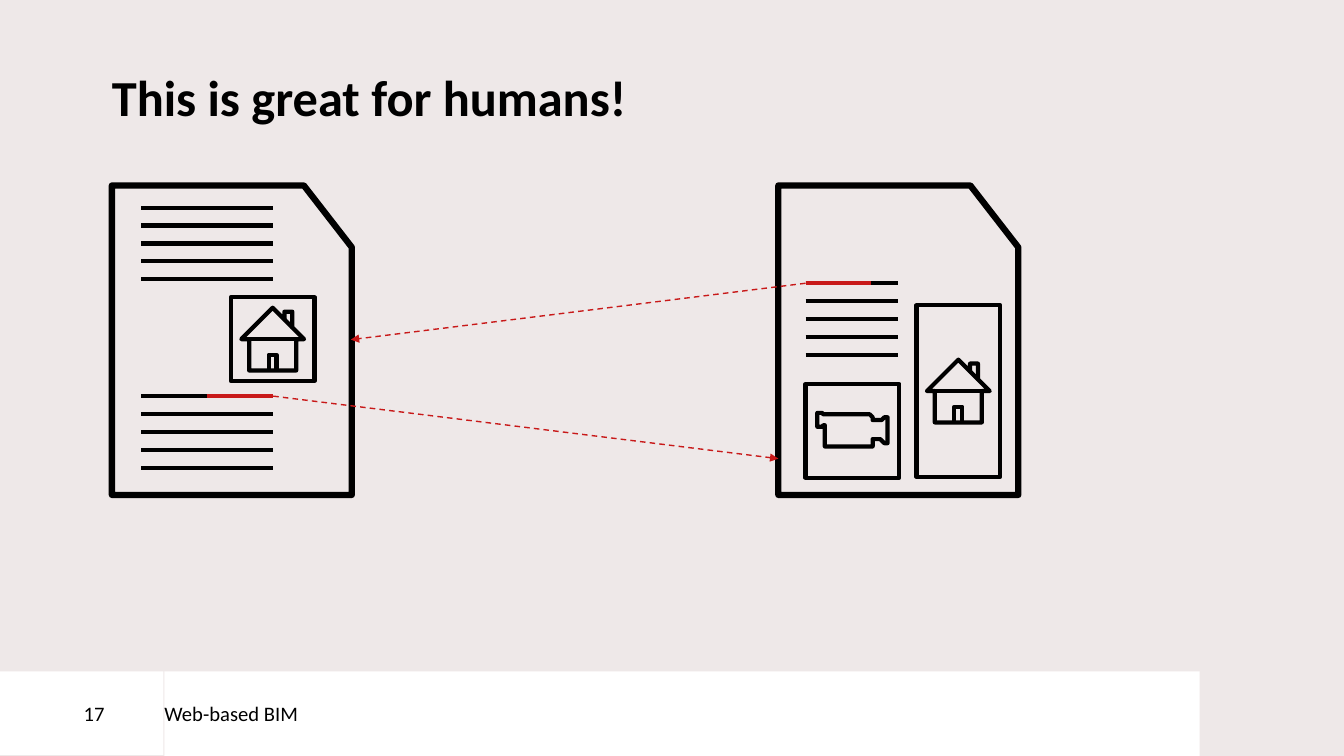
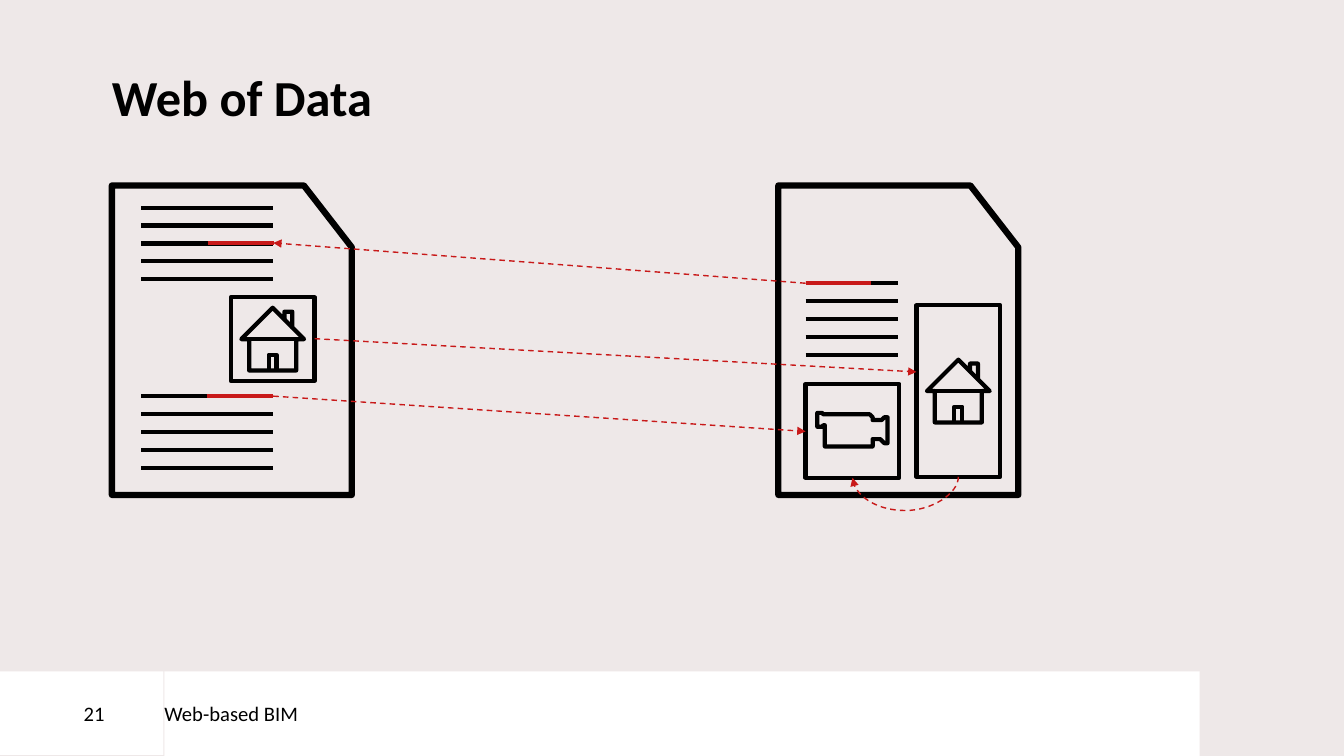
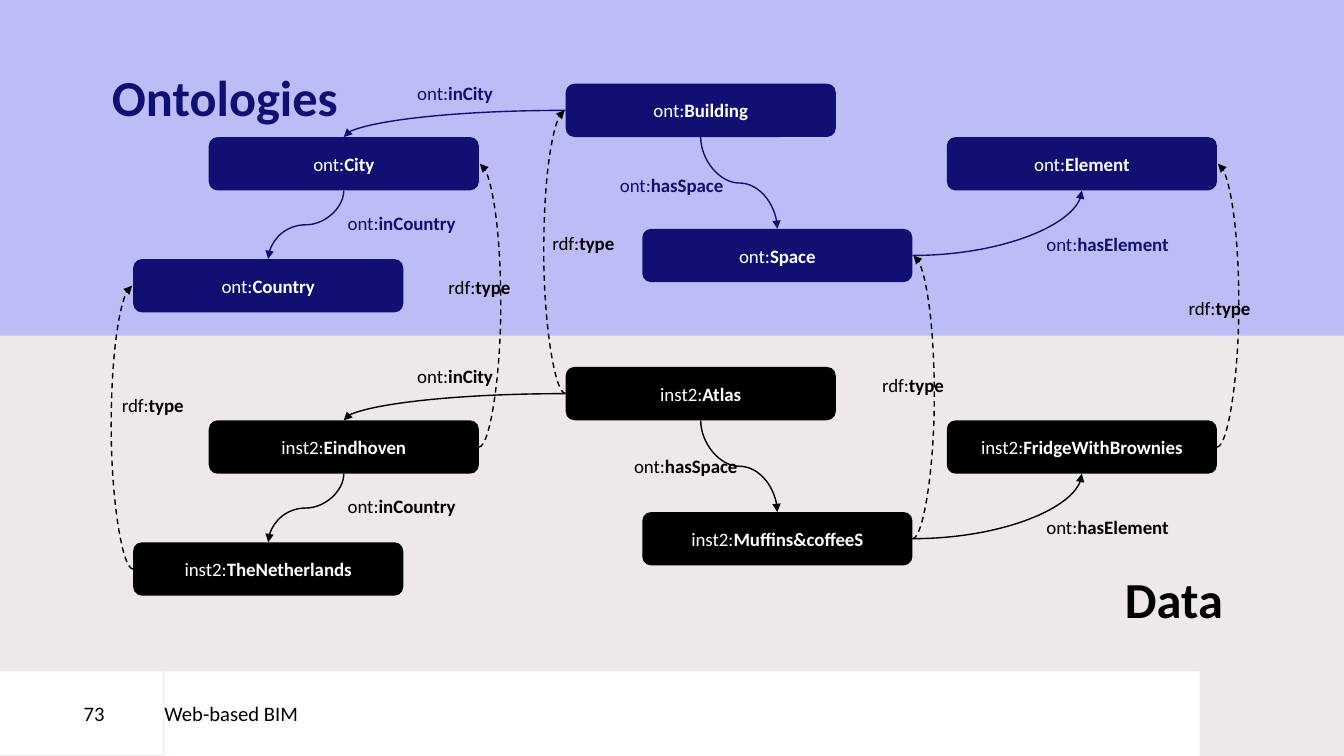
from lxml import etree
from pptx import Presentation
from pptx.dml.color import RGBColor
from pptx.enum.dml import MSO_LINE
from pptx.enum.shapes import MSO_CONNECTOR, MSO_SHAPE
from pptx.enum.text import MSO_ANCHOR, PP_ALIGN
from pptx.oxml.ns import qn
from pptx.util import Inches, Pt

STRAIGHT, CURVE = MSO_CONNECTOR.STRAIGHT, MSO_CONNECTOR.CURVE
RECT, ROUNDED = MSO_SHAPE.RECTANGLE, MSO_SHAPE.ROUNDED_RECTANGLE
HOME, MOVIE = MSO_SHAPE.ACTION_BUTTON_HOME, MSO_SHAPE.ACTION_BUTTON_MOVIE
CARD = MSO_SHAPE.FLOWCHART_CARD
DASH = MSO_LINE.DASH
TOP_ANCHOR, MIDDLE = MSO_ANCHOR.TOP, MSO_ANCHOR.MIDDLE
ALIGN_LEFT, ALIGN_CENTER, ALIGN_RIGHT = PP_ALIGN.LEFT, PP_ALIGN.CENTER, PP_ALIGN.RIGHT
TOP, LEFT, BOTTOM, RIGHT = range(4)

BLACK, WHITE, RED = "000000", "FFFFFF", "C81919"
PAPER, NAVY, LAVENDER = "EEE8E8", "101073", "BCBCF6"
FONT = "Calibri"
TITLE_ONLY = 5
OVERLAP = 0.01


def rgb(value):
    return RGBColor.from_string(value)


def side(box, site):
    x = {LEFT: 0, RIGHT: box.width}.get(site, box.width // 2)
    y = {TOP: 0, BOTTOM: box.height}.get(site, box.height // 2)
    return [box.left + x, box.top + y]


class Deck:
    def __init__(self):
        self.prs = Presentation()
        self.prs.slide_width, self.prs.slide_height = Inches(13.33), Inches(7.5)
        background = self.prs.slide_master.background.fill
        background.solid()
        background.fore_color.rgb = rgb(PAPER)
        self.slide = None

    def new_slide(self, title, colour=BLACK):
        self.slide = self.prs.slides.add_slide(self.prs.slide_layouts[TITLE_ONLY])
        heading = self.slide.shapes.title
        heading.left, heading.top = Inches(1.11), Inches(0.76)
        heading.width, heading.height = Inches(11.02), Inches(0.79)
        self.heading(heading, title, colour, ALIGN_LEFT, 36)

    def heading(self, box, text, colour, align, spacing):
        self.frame(box, TOP_ANCHOR, 0)
        paragraph = box.text_frame.paragraphs[0]
        paragraph.text = text
        paragraph.alignment = align
        paragraph.line_spacing = Pt(spacing)
        self.font(paragraph, 36, colour)
        paragraph.font.bold = True

    def frame(self, box, anchor, indent):
        frame = box.text_frame
        frame.word_wrap = True
        frame.vertical_anchor = anchor
        frame.margin_left = Inches(indent)
        frame.margin_top = frame.margin_right = frame.margin_bottom = 0

    def font(self, paragraph, size, colour):
        paragraph.font.name = FONT
        paragraph.font.size = Pt(size)
        paragraph.font.color.rgb = rgb(colour)

    def text_box(self, x, y, w, h):
        box = self.slide.shapes.add_textbox(Inches(x), Inches(y), Inches(w), Inches(h))
        box.text_frame.word_wrap = True
        return box

    def shape(self, kind, x, y, w, h, fill=None, width=0):
        shape = self.slide.shapes.add_shape(kind, Inches(x), Inches(y), Inches(w), Inches(h))
        shape.shadow.inherit = False
        if fill:
            shape.fill.solid()
            shape.fill.fore_color.rgb = rgb(fill)
        else:
            shape.fill.background()
        if width:
            shape.line.color.rgb = rgb(BLACK)
            shape.line.width = Pt(width)
        else:
            shape.line.fill.background()
        return shape

    def backdrop(self, height, colour):
        band = self.shape(RECT, 0, 0, 13.33, height, colour)
        self.slide.shapes.title._element.addprevious(band._element)

    def footer(self, number):
        for text, x, w, h, indent in (("Web-based BIM", 1.63, 10.27, 0.84, 0),
                                      (number, 0, 1.62, 0.83, 0.83)):
            band = self.shape(RECT, x, 6.66, w, h, WHITE)
            self.frame(band, MIDDLE, indent)
            paragraph = band.text_frame.paragraphs[0]
            paragraph.text = text
            paragraph.alignment = ALIGN_LEFT
            self.font(paragraph, 14.7, BLACK)

    def term(self, box, prefix, name, colour):
        paragraph = box.text_frame.paragraphs[0]
        paragraph.add_run().text = prefix
        local_name = paragraph.add_run()
        local_name.text = name
        local_name.font.bold = True
        self.font(paragraph, 13.5, colour)
        return paragraph

    def label(self, prefix, name, colour, x, y, w, h=0.33):
        self.term(self.text_box(x, y, w, h), prefix, name, colour)

    def node(self, prefix, name, colour, x, y):
        node = self.shape(ROUNDED, x, y, 2.68, 0.53, colour)
        node.text_frame.vertical_anchor = MIDDLE
        self.term(node, prefix, name, WHITE).alignment = ALIGN_CENTER
        return node

    def style_line(self, connector, colour, width, dashed, arrow):
        connector.line.color.rgb = rgb(colour)
        connector.line.width = Pt(width)
        if dashed:
            connector.line.dash_style = DASH
        properties = connector._element.spPr
        if arrow:
            etree.SubElement(properties.find(qn("a:ln")), qn("a:tailEnd"), type="triangle")
        etree.SubElement(properties, qn("a:effectLst"))

    def line(self, start, end, colour=BLACK, width=3, arrow=False, shapes=None):
        points = [Inches(value) for value in (*start, *end)]
        connector = (shapes or self.slide.shapes).add_connector(STRAIGHT, *points)
        self.style_line(connector, colour, width, arrow, arrow)

    def link(self, start, end):
        self.line(start, end, RED, 1, arrow=True)

    def text_lines(self, left, right, top, bottom, count=5):
        group = self.slide.shapes.add_group_shape()
        for index in range(count):
            y = top + (bottom - top) * index / (count - 1)
            self.line((left, y), (right, y), shapes=group.shapes)

    def curve(self, source, leave, target, enter, colour, dashed=False, bend=0, joined=True):
        start, end = side(source, leave), side(target, enter)
        vertical = leave in (TOP, BOTTOM)
        if leave == enter:
            outward = 1 if leave in (BOTTOM, RIGHT) else -1
            end[vertical] = start[vertical] + outward * Inches(OVERLAP)
        connector = self.slide.shapes.add_connector(CURVE, *start, *end)
        if joined:
            connector.begin_connect(source, leave)
            connector.end_connect(target, enter)
        properties = connector._element.spPr
        if vertical:
            centre_x, centre_y = (start[0] + end[0]) // 2, (start[1] + end[1]) // 2
            half_x, half_y = (end[0] - start[0]) // 2, (end[1] - start[1]) // 2
            start = centre_x - half_y, centre_y + half_x
            end = centre_x + half_y, centre_y - half_x
            properties.find(qn("a:xfrm")).set("rot", "5400000")
        connector.begin_x, connector.begin_y = start
        connector.end_x, connector.end_y = end
        geometry = properties.find(qn("a:prstGeom"))
        if vertical != (enter in (TOP, BOTTOM)):
            geometry.set("prst", "curvedConnector2")
        if bend:
            etree.SubElement(geometry.find(qn("a:avLst")), qn("a:gd"), name="adj1",
                             fmla=f"val {round(bend / OVERLAP * 100000)}")
        self.style_line(connector, colour, 1, dashed, True)


def documents(deck, title, number):
    deck.new_slide(title)
    deck.footer(number)
    movie = deck.shape(MOVIE, 7.99, 3.81, 0.93, 0.93, width=3)
    deck.shape(HOME, 2.29, 2.95, 0.83, 0.83, width=3)
    deck.text_lines(1.4, 2.71, 2.06, 2.77)
    deck.text_lines(7.99, 8.91, 2.81, 3.52)
    deck.text_lines(1.4, 2.71, 3.93, 4.64)
    tall_home = deck.shape(HOME, 9.09, 3.03, 0.83, 1.7, width=3)
    for x in (1.11, 7.72):
        page = deck.shape(CARD, x, 1.84, 2.38, 3.07, width=4.5)
        page._element.spPr.find(qn("a:xfrm")).set("flipH", "1")
    deck.line((2.05, 3.93), (2.71, 3.93), RED)
    deck.line((7.99, 2.81), (8.64, 2.81), RED)
    return movie, tall_home


def human_web(deck):
    documents(deck, "This is great for humans!", "17")
    deck.link((2.71, 3.93), (7.72, 4.55))
    deck.link((7.99, 2.81), (3.48, 3.37))


def data_web(deck):
    movie, tall_home = documents(deck, "Web of Data", "21")
    deck.link((2.71, 3.93), (7.99, 4.28))
    deck.link((7.99, 2.81), (2.71, 2.41))
    deck.line((2.06, 2.41), (2.72, 2.41), RED)
    deck.curve(tall_home, BOTTOM, movie, BOTTOM, RED, True, 0.34, joined=False)
    deck.link((3.12, 3.36), (9.09, 3.69))


def graph(deck, prefix, names, colour, drop, has_space):
    places = ((5.61, 0.83), (2.07, 1.36), (1.32, 2.57), (6.37, 2.27), (9.39, 1.36))
    nodes = [deck.node(prefix, name, colour, x, y + drop)
             for name, (x, y) in zip(names, places)]
    building, city, country, space, element = nodes
    deck.curve(building, LEFT, city, TOP, colour)
    deck.curve(city, BOTTOM, country, TOP, colour)
    deck.curve(building, BOTTOM, space, TOP, colour)
    deck.curve(space, RIGHT, element, BOTTOM, colour)
    for name, x, y, w in (("inCountry", 3.35, 2.05, 6.76), ("inCity", 4.04, 0.76, 6.76),
                          ("hasElement", 10.28, 2.26, 1.68), ("hasSpace", *has_space)):
        deck.label("ont:", name, colour, x, y + drop, w)
    return nodes


def ontologies(deck):
    deck.new_slide("Ontologies", NAVY)
    deck.backdrop(3.33, LAVENDER)
    instances = graph(deck, "inst2:",
                      ("Atlas", "Eindhoven", "TheNetherlands", "Muffins&coffeeS",
                       "FridgeWithBrownies"), BLACK, 2.81, (6.19, 1.65, 1.64))
    classes = graph(deck, "ont:", ("Building", "City", "Country", "Space", "Element"),
                    NAVY, 0, (6.05, 1.67, 6.76))
    for instance, concept, edge in zip(instances, classes, (LEFT, RIGHT, LEFT, RIGHT, RIGHT)):
        deck.curve(instance, edge, concept, edge, BLACK, True, 0.22)
    for x, y, w, h in ((1.11, 3.86, 1, 0.33), (4.35, 2.69, 0.93, 0.56),
                       (5.38, 2.25, 1.06, 0.33), (8.65, 3.66, 1.06, 0.33),
                       (11.69, 2.89, 1.13, 0.33)):
        deck.label("rdf:", "type", BLACK, x, y, w, h)
    deck.footer("73")
    deck.heading(deck.text_box(1.11, 5.86, 11.02, 0.79), "Data", BLACK, ALIGN_RIGHT, 27)


def main():
    deck = Deck()
    human_web(deck)
    data_web(deck)
    ontologies(deck)
    deck.prs.save("out.pptx")


if __name__ == "__main__":
    main()
